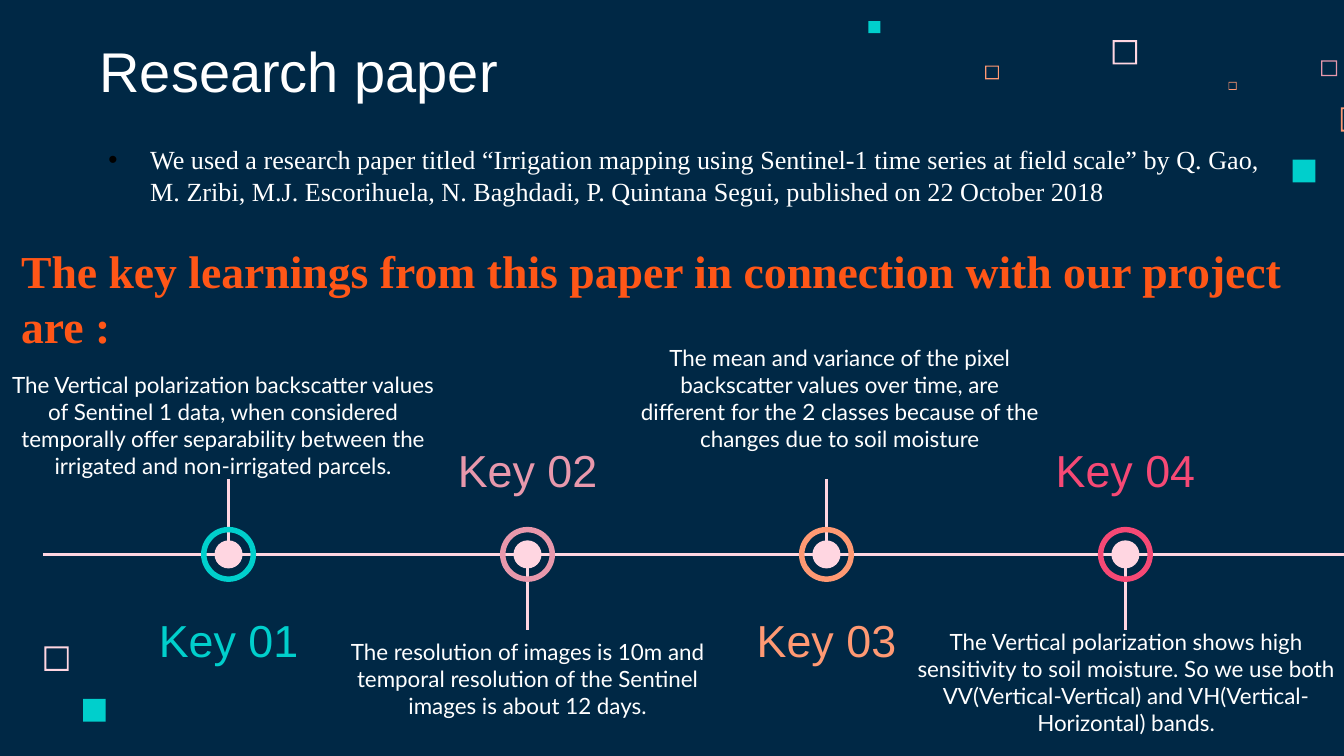
"""Build the research paper slide with its four-key timeline."""
from dataclasses import dataclass

from lxml import etree
from pptx import Presentation
from pptx import util as u
from pptx.dml.color import RGBColor
from pptx.enum import shapes, text
from pptx.oxml import ns

NAVY, WHITE, BLACK = "002845", "FFFFFF", "000000"
BLUSH, TEAL, ROSE, PEACH, PINK = "FFD6E1", "00CFCC", "E898AC", "FF9973", "F64975"
ORANGE = "FF5617"
TOP, MIDDLE, BOTTOM = (text.MSO_ANCHOR.TOP, text.MSO_ANCHOR.MIDDLE,
                       text.MSO_ANCHOR.BOTTOM)
LEFT, CENTER = text.PP_ALIGN.LEFT, text.PP_ALIGN.CENTER
AXIS_Y, FIRST_X, STEP_X = 10.48, 4.32, 5.65
INSET = 0.25


@dataclass(frozen=True)
class Box:
    left: float
    top: float
    width: float
    height: float

    def lengths(self) -> tuple[u.Length, ...]:
        """Return the box as left, top, width and height lengths."""
        return tuple(u.Cm(v) for v in (self.left, self.top, self.width, self.height))


@dataclass(frozen=True)
class Square:
    left: float
    top: float
    side: float
    color: str
    hollow: bool = True


@dataclass(frozen=True)
class Style:
    font: str
    size: float
    color: str
    bold: bool = False
    align: text.PP_ALIGN = LEFT
    anchor: text.MSO_ANCHOR = TOP


@dataclass(frozen=True)
class Key:
    label: str
    color: str
    label_side: int
    caption: str
    caption_box: Box
    caption_anchor: text.MSO_ANCHOR
    bottom_inset: float = INSET


SQUARES = [
    Square(21.03, 0.76, 0.46, BLUSH),
    Square(24.97, 1.14, 0.3, ROSE),
    Square(23.22, 1.55, 0.15, PEACH),
    Square(25.34, 2.03, 0.46, PEACH),
    Square(24.43, 3.02, 0.43, TEAL, hollow=False),
    Square(18.62, 1.24, 0.26, PEACH),
    Square(16.41, 0.4, 0.23, TEAL, hollow=False),
    Square(0.84, 12.22, 0.46, BLUSH),
    Square(1.57, 13.21, 0.43, TEAL, hollow=False),
]
KEYS = [
    Key("Key 01", TEAL, 1,
        "The Vertical polarization backscatter values of Sentinel 1 data, when "
        "considered temporally offer separability between the irrigated and "
        "non-irrigated parcels.", Box(-0.1, 8.03, 8.64, 1.8), BOTTOM, 0.78),
    Key("Key 02", ROSE, -1,
        "The resolution of images is 10m and temporal resolution of the Sentinel "
        "images is about 12 days.", Box(5.82, 11.81, 8.31, 1.8), TOP),
    Key("Key 03", PEACH, 1,
        "The mean and variance of the pixel backscatter values over time, are "
        "different for the 2 classes because of the changes due to soil moisture",
        Box(11.86, 6.99, 8.03, 1.8), BOTTOM),
    Key("Key 04", PINK, -1,
        "The Vertical polarization shows high sensitivity to soil moisture. So we "
        "use both VV(Vertical-Vertical) and VH(Vertical-Horizontal) bands.",
        Box(16.74, 11.63, 9.09, 1.8), TOP),
]


def rgb(value: str) -> RGBColor:
    """Turn a hex string into a colour."""
    return RGBColor.from_string(value)


def add_line(slide, x1: float, y1: float, x2: float, y2: float) -> None:
    """Draw a straight timeline stroke."""
    stroke = slide.shapes.add_connector(
        shapes.MSO_CONNECTOR.STRAIGHT, *(u.Cm(v) for v in (x1, y1, x2, y2)))
    stroke.line.color.rgb = rgb(BLUSH)
    stroke.line.width = u.Pt(1.5)
    etree.SubElement(stroke._element.spPr, ns.qn("a:effectLst"))


def add_solid(parent, preset: shapes.MSO_SHAPE, box: Box, color: str,
              thickness: float | None = None) -> None:
    """Draw a filled preset without outline."""
    solid = parent.shapes.add_shape(preset, *box.lengths())
    solid.shadow.inherit = False
    solid.fill.solid()
    solid.fill.fore_color.rgb = rgb(color)
    solid.line.fill.background()
    if thickness is not None:
        solid.adjustments[0] = thickness


def write(holder, words: str, style: Style) -> None:
    """Fill a shape with one styled paragraph."""
    frame = holder.text_frame
    frame.text = words
    frame.word_wrap = True
    frame.auto_size = text.MSO_AUTO_SIZE.NONE
    frame.vertical_anchor = style.anchor
    paragraph = frame.paragraphs[0]
    paragraph.alignment = style.align
    font = paragraph.runs[0].font
    font.name, font.size, font.bold = style.font, u.Pt(style.size), style.bold
    font.color.rgb = rgb(style.color)


def set_insets(holder, bottom: float = INSET) -> None:
    """Give a text frame even insets with a chosen bottom one."""
    frame = holder.text_frame
    frame.margin_left = frame.margin_right = frame.margin_top = u.Cm(INSET)
    frame.margin_bottom = u.Cm(bottom)


def add_text(slide, box: Box, words: str, style: Style):
    """Add a text box and return it."""
    holder = slide.shapes.add_textbox(*box.lengths())
    write(holder, words, style)
    return holder


def add_bullet(paragraph, indent: float) -> None:
    """Give a paragraph a black round bullet with a hanging indent."""
    props = paragraph._p.get_or_add_pPr()
    props.set("marL", str(u.Cm(indent)))
    props.set("indent", str(-u.Cm(indent)))
    bullet_color = etree.SubElement(props, ns.qn("a:buClr"))
    etree.SubElement(bullet_color, ns.qn("a:srgbClr"), val=BLACK)
    etree.SubElement(props, ns.qn("a:buFont"), typeface="Arial")
    etree.SubElement(props, ns.qn("a:buChar"), char="•")


def centered(x: float, y: float, width: float, height: float) -> Box:
    """Return a box around a centre point."""
    return Box(x - width / 2, y - height / 2, width, height)


def add_key(slide, key: Key, x: float) -> None:
    """Draw one timeline key with its stem, node, label and caption."""
    side = key.label_side
    add_line(slide, x, AXIS_Y - side * 0.16, x, AXIS_Y - side * 1.43)
    node = slide.shapes.add_group_shape()
    add_solid(node, shapes.MSO_SHAPE.OVAL, centered(x, AXIS_Y, 0.53, 0.53), BLUSH)
    add_solid(node, shapes.MSO_SHAPE.DONUT, centered(x, AXIS_Y, 1.04, 1.04),
              key.color, 0.1)
    label = add_text(slide, centered(x, AXIS_Y + side * 1.61, 3.58, 1.19), key.label,
                     Style("Arial", 24, key.color, align=CENTER, anchor=MIDDLE))
    set_insets(label)
    caption = add_text(slide, key.caption_box, key.caption,
                       Style("Lato", 12, WHITE, align=CENTER,
                             anchor=key.caption_anchor))
    set_insets(caption, key.bottom_inset)


def main() -> None:
    """Assemble and save the slide."""
    deck = Presentation()
    deck.slide_width, deck.slide_height = u.Cm(25.4), u.Cm(14.29)
    slide = deck.slides.add_slide(deck.slide_layouts[5])
    slide.background.fill.solid()
    slide.background.fill.fore_color.rgb = rgb(NAVY)
    for square in SQUARES:
        box = Box(square.left, square.top, square.side, square.side)
        if square.hollow:
            add_solid(slide, shapes.MSO_SHAPE.FRAME, box, square.color, 0.08)
        else:
            add_solid(slide, shapes.MSO_SHAPE.RECTANGLE, box, square.color)

    title = slide.shapes.title
    title.left, title.top, title.width, title.height = Box(
        1.63, 0.61, 13.13, 1.6).lengths()
    write(title, "Research paper", Style("Arial", 30, WHITE, anchor=BOTTOM))
    set_insets(title)

    add_line(slide, 0.81, AXIS_Y, 26.44, AXIS_Y)
    for index, key in enumerate(KEYS):
        add_key(slide, key, FIRST_X + index * STEP_X)

    citation = add_text(
        slide, Box(1.8, 2.59, 22.4, 2.06),
        "We used a research paper titled “Irrigation mapping using Sentinel-1 time "
        "series at field scale” by Q. Gao, M. Zribi, M.J. Escorihuela, N. Baghdadi, "
        "P. Quintana Segui, published on 22 October 2018",
        Style("Times New Roman", 14, WHITE))
    add_bullet(citation.text_frame.paragraphs[0], 0.79)
    add_text(slide, Box(0.15, 4.47, 26.06, 1.32),
             "The key learnings from this paper in connection with our project are :",
             Style("Times New Roman", 24.5, ORANGE, bold=True))
    deck.save("out.pptx")


if __name__ == "__main__":
    main()
